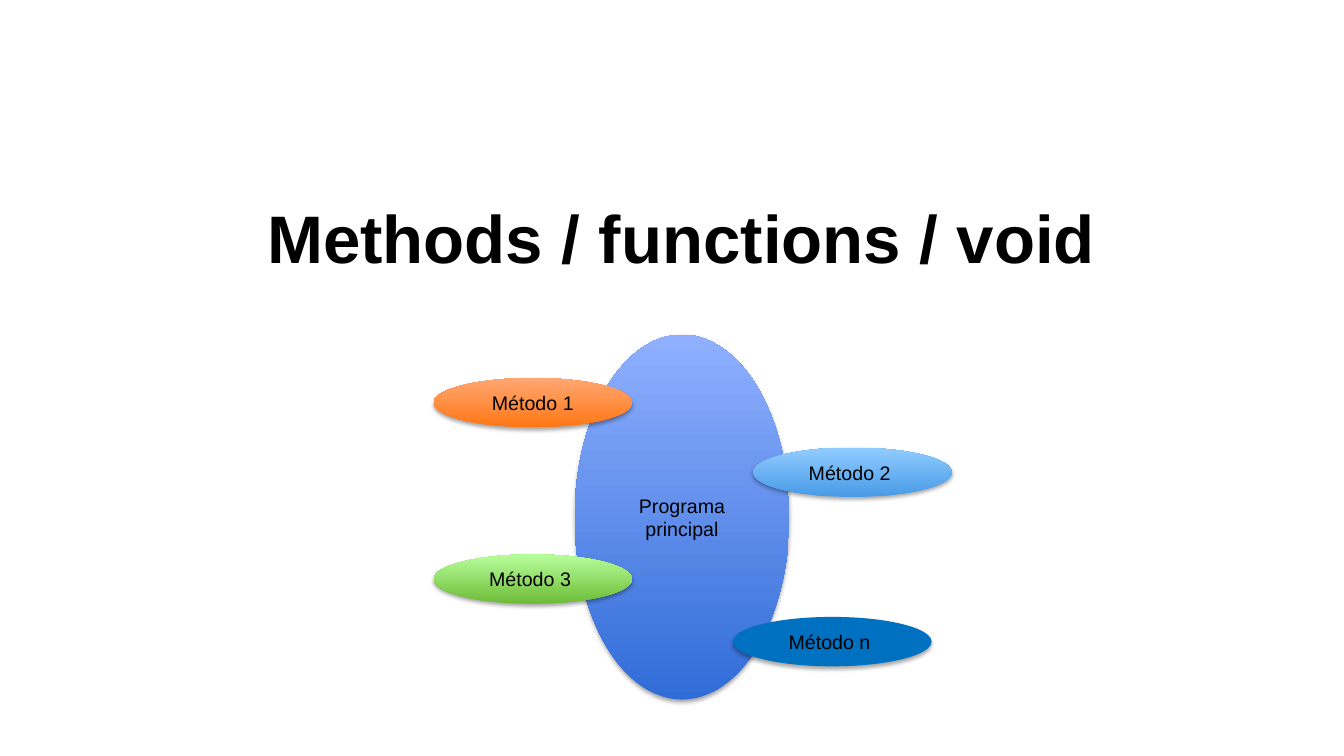
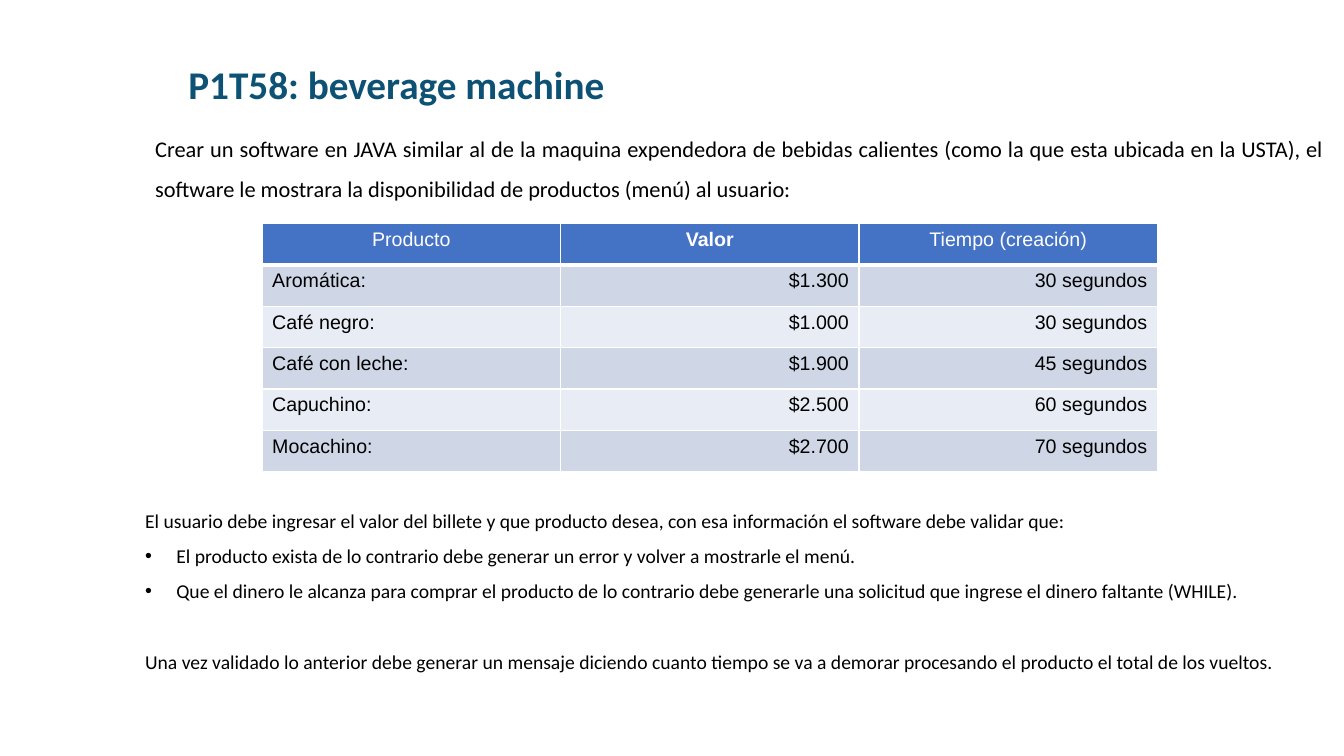
from dataclasses import dataclass, field

import lxml.etree
import pptx
import pptx.dml.color
import pptx.enum.shapes
import pptx.enum.text
import pptx.oxml.ns
import pptx.util

Inches = pptx.util.Inches
Pt = pptx.util.Pt
ALIGN = pptx.enum.text.PP_ALIGN
ANCHOR = pptx.enum.text.MSO_ANCHOR

BLACK = "000000"
WHITE = "FFFFFF"
TITLE_BLUE = "0D5274"
HEADER_BLUE = "4472C4"
ROW_BANDS = ("CFD7E7", "E8ECF4")
HEADING = {"name": "Arial", "size": Pt(48), "bold": True}
LABEL = {"name": "Arial", "size": Pt(14), "bold": False}
EXERCISE = {"name": "Calibri", "size": Pt(28), "bold": True}
INTRO = {"name": "Calibri", "size": Pt(16), "bold": False}
BODY = {"name": "Calibri", "size": Pt(14), "bold": False}


@dataclass
class Line:
    text: str
    style: dict
    color: str = BLACK
    bullet: bool = False
    layout: dict = field(default_factory=dict)


@dataclass
class Bubble:
    text: str
    left: float
    top: float
    width: float
    height: float
    colors: tuple


METHOD_SIZE = (1.97, 0.49)
BUBBLES = (
    Bubble("Programa principal", 5.7, 3.32, 2.13, 3.62, ("306CD7", "90B0FF")),
    Bubble("Método 1", 4.3, 3.75, *METHOD_SIZE, ("FF7714", "FFA773")),
    Bubble("Método 2 ", 7.47, 4.44, *METHOD_SIZE, ("489BE7", "91CCFF")),
    Bubble("Método 3 ", 4.3, 5.5, *METHOD_SIZE, ("6DBC37", "B8FE9C")),
    Bubble("Método n ", 7.27, 6.12, *METHOD_SIZE, ("0070C0",)),
)
MENU = (
    ("Producto", "Valor", "Tiempo (creación)"),
    ("Aromática:", "$1.300", "30 segundos"),
    ("Café negro:", "$1.000", "30 segundos"),
    ("Café con leche:", "$1.900", "45 segundos"),
    ("Capuchino:", "$2.500", "60 segundos"),
    ("Mocachino:", "$2.700", "70 segundos"),
)


def rgb(color: str) -> pptx.dml.color.RGBColor:
    return pptx.dml.color.RGBColor.from_string(color)


def child(parent, tag: str, **attributes: str):
    return lxml.etree.SubElement(parent, pptx.oxml.ns.qn(tag), attributes)


def apply(target, values: dict) -> None:
    for name, value in values.items():
        setattr(target, name, value)


def paint(fill, color: str) -> None:
    fill.solid()
    fill.fore_color.rgb = rgb(color)


def write(frame, lines: list[Line]) -> None:
    for index, line in enumerate(lines):
        paragraph = frame.add_paragraph() if index else frame.paragraphs[0]
        if line.bullet:
            properties = paragraph._p.get_or_add_pPr()
            properties.set("marL", str(Inches(0.31)))
            properties.set("indent", str(-Inches(0.31)))
            child(child(properties, "a:buClr"), "a:srgbClr", val=BLACK)
            child(properties, "a:buFont", typeface="Arial")
            child(properties, "a:buChar", char="•")
        apply(paragraph, line.layout)
        run = paragraph.add_run()
        run.text = line.text
        apply(run.font, line.style)
        run.font.color.rgb = rgb(line.color)


def add_text(slide, left: float, top: float, width: float, height: float,
             lines: list[Line], anchor=ANCHOR.TOP, background: str = "") -> None:
    box = slide.shapes.add_textbox(Inches(left), Inches(top), Inches(width), Inches(height))
    if background:
        paint(box.fill, background)
    apply(box.text_frame, {
        "word_wrap": True,
        "vertical_anchor": anchor,
        "auto_size": pptx.enum.text.MSO_AUTO_SIZE.SHAPE_TO_FIT_TEXT,
    })
    write(box.text_frame, lines)


def add_bubble(slide, bubble: Bubble) -> None:
    oval = slide.shapes.add_shape(
        pptx.enum.shapes.MSO_SHAPE.OVAL, Inches(bubble.left), Inches(bubble.top),
        Inches(bubble.width), Inches(bubble.height))
    if len(bubble.colors) > 1:
        oval.fill.gradient()
        oval.fill.gradient_angle = 90
        for stop, color in zip(oval.fill.gradient_stops, bubble.colors):
            stop.color.rgb = rgb(color)
    else:
        paint(oval.fill, bubble.colors[0])
    oval.line.fill.background()
    oval.shadow.inherit = False
    effects = oval._element.spPr.find(pptx.oxml.ns.qn("a:effectLst"))
    shadow = child(effects, "a:outerShdw", blurRad=str(Pt(3.1)), dist=str(Pt(1.8)),
                   dir="5400000", rotWithShape="0")
    child(child(shadow, "a:srgbClr", val=BLACK), "a:alpha", val="35000")
    apply(oval.text_frame, {"word_wrap": True, "vertical_anchor": ANCHOR.MIDDLE})
    write(oval.text_frame, [Line(bubble.text, LABEL, layout={"alignment": ALIGN.CENTER})])


def add_borders(cell, top: float, bottom: float) -> None:
    properties = cell._tc.get_or_add_tcPr()
    for side, points in (("L", 1), ("R", 1), ("T", top), ("B", bottom)):
        border = child(properties, f"a:ln{side}", w=str(Pt(points)))
        child(child(border, "a:solidFill"), "a:srgbClr", val=WHITE)


def add_menu(slide) -> None:
    column_width, row_height = 2.96, 0.41
    rows, columns = len(MENU), len(MENU[0])
    table = slide.shapes.add_table(
        rows, columns, Inches(2.6), Inches(2.22),
        Inches(columns * column_width), Inches(rows * row_height)).table
    for column in table.columns:
        column.width = Inches(column_width)
    for r, entries in enumerate(MENU):
        table.rows[r].height = Inches(row_height)
        for c, entry in enumerate(entries):
            cell = table.cell(r, c)
            add_borders(cell, 3 if r == 1 else 1, 1 if r else 3)
            paint(cell.fill, ROW_BANDS[(r - 1) % 2] if r else HEADER_BLUE)
            align = ALIGN.CENTER if r == 0 else ALIGN.RIGHT if c else ALIGN.LEFT
            style = LABEL | {"bold": (r, c) == (0, 1)}
            write(cell.text_frame,
                  [Line(entry, style, BLACK if r else WHITE, layout={"alignment": align})])


def build_methods(slide) -> None:
    add_text(slide, 1.86, 1.9, 9.8, 0.91,
             [Line("Methods / functions / void", HEADING, layout={"alignment": ALIGN.CENTER})])
    for bubble in BUBBLES:
        add_bubble(slide, bubble)


def build_exercise(slide) -> None:
    prose = {"alignment": ALIGN.JUSTIFY, "line_spacing": 1.5}
    add_text(slide, 1.77, 0.55, 7.49, 0.57,
             [Line("P1T58: beverage machine", EXERCISE, TITLE_BLUE)], ANCHOR.MIDDLE)
    add_text(slide, 1.44, 1.16, 11.79, 0.91, [
        Line("Crear un software en JAVA similar al de la maquina expendedora de bebidas "
             "calientes (como la que esta ubicada en la USTA), el software le mostrara la "
             "disponibilidad de productos (menú) al usuario:", INTRO, layout=prose),
    ], background=WHITE)
    add_menu(slide)
    add_text(slide, 1.34, 4.88, 11.99, 1.83, [
        Line("El usuario debe ingresar el valor del billete y que producto desea, con esa "
             "información el software debe validar que:", BODY, layout=prose),
        Line("El producto exista de lo contrario debe generar un error y volver a mostrarle "
             "el menú.", BODY, bullet=True, layout=prose),
        Line("Que el dinero le alcanza para comprar el producto de lo contrario debe generarle "
             "una solicitud que ingrese el dinero faltante (WHILE).", BODY, bullet=True,
             layout=prose),
        Line("Una vez validado lo anterior debe generar un mensaje diciendo cuanto tiempo se va "
             "a demorar procesando el producto el total de los vueltos.", BODY,
             layout=prose | {"space_before": Pt(25.5)}),
    ], background=WHITE)


def main() -> None:
    deck = pptx.Presentation()
    apply(deck, {"slide_width": Inches(13.33), "slide_height": Inches(7.5)})
    for build in (build_methods, build_exercise):
        build(deck.slides.add_slide(deck.slide_layouts[6]))
    deck.save("out.pptx")


if __name__ == "__main__":
    main()
